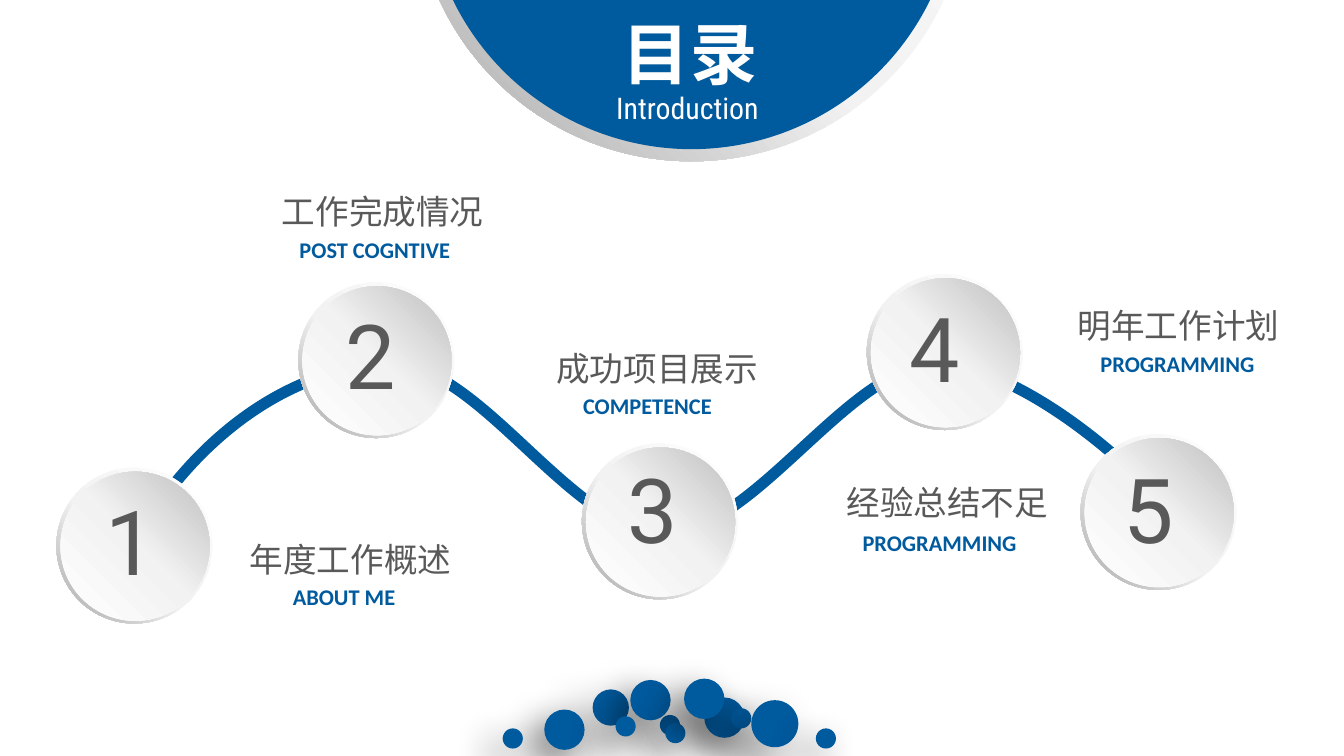
from copy import deepcopy

from lxml import etree
from pptx import Presentation
from pptx import util as u
from pptx.dml.color import RGBColor
from pptx.enum import shapes, text
from pptx.oxml import ns

PX = 9144  # 100 px to the inch
SLIDE_WIDTH = 1000

BLUE = RGBColor(0x00, 0x5A, 0x9E)
GRAY = RGBColor(0x59, 0x59, 0x59)
WHITE = RGBColor(0xFF, 0xFF, 0xFF)
PALE = RGBColor(0xF2, 0xF2, 0xF2)
SILVER = RGBColor(0xBF, 0xBF, 0xBF)
STEEL = RGBColor(0xA6, 0xA6, 0xA6)

RIM_STOPS = [(0, WHITE), (0.55, PALE), (1, STEEL)]
FACE_STOPS = [(0, WHITE), (0.51, PALE), (1, SILVER)]
CHINESE, LATIN = "Noto Sans CJK SC", "Calibri"

# Start of the wave, then two control points and an end for each bend
WAVE = [(100, 403),
        (151, 316), (225, 272), (291, 271),
        (357, 270), (426, 397), (494, 397),
        (561, 397), (632, 271), (697, 271),
        (762, 271), (863, 361), (882, 398)]

# number, badge left and top, digit left and top
BADGES = [("1", 42, 348, 69, 357),
          ("2", 222, 210, 247, 218),
          ("4", 645, 204, 667, 213),
          ("3", 433, 330, 457, 333),
          ("5", 804, 323, 826, 333)]

# Chinese title and its box, English subtitle and its box
TOPICS = [("年度工作概述", (176, 396, 177, 40), "ABOUT ME", (208, 429, 105, 30)),
          ("工作完成情况", (200, 137, 200, 40), "POST COGNTIVE", (213, 171, 148, 30)),
          ("成功项目展示", (404, 254, 202, 40), "COMPETENCE", (424, 287, 133, 30)),
          ("经验总结不足", (620, 354, 198, 40), "PROGRAMMING", (632, 389, 146, 30)),
          ("明年工作计划", (792, 222, 198, 40), "PROGRAMMING", (809, 256, 146, 30))]

# left, top, diameter
BUBBLES = [(524, 519, 30), (491, 532, 15), (544, 527, 15), (441, 513, 27),
           (469, 506, 30), (495, 538, 15), (559, 521, 35), (405, 528, 30),
           (374, 542, 15), (509, 505, 30), (458, 533, 15), (607, 542, 15)]
SOFT_SHADOW = (60, 20, 10)  # opacity %, blur pt, distance pt
WIDE_SHADOW = (50, 25, 15)
WIDE_SHADOW_DIAMETERS = (27, 35)


def emu(*lengths):
    return [u.Emu(length * PX) for length in lengths]


def add_text(parent, box, content, font, size, color, bold=False, wrap=True,
             align=None, spacing=None, insets=(10, 5)):
    frame = parent.shapes.add_textbox(*emu(*box)).text_frame
    frame.word_wrap = wrap
    frame.auto_size = text.MSO_AUTO_SIZE.SHAPE_TO_FIT_TEXT
    frame.margin_left = frame.margin_right = u.Emu(insets[0] * PX)
    frame.margin_top = frame.margin_bottom = u.Emu(insets[1] * PX)
    paragraph = frame.paragraphs[0]
    paragraph.alignment = align
    paragraph.line_spacing = spacing
    run = paragraph.add_run()
    run.text = content
    run.font.name = font
    run.font.size = u.Pt(size)
    run.font.bold = bold
    run.font.color.rgb = color
    east_asian = etree.SubElement(run.font._element, ns.qn("a:ea"))
    east_asian.set("typeface", font)


def add_round(parent, kind, left, top, diameter):
    """Add a circle or ring without line or shadow."""
    shape = parent.shapes.add_shape(kind, *emu(left, top, diameter, diameter))
    shape.line.fill.background()
    shape.shadow.inherit = False
    return shape


def add_disc(parent, left, top, diameter, color):
    disc = add_round(parent, shapes.MSO_SHAPE.OVAL, left, top, diameter)
    disc.fill.solid()
    disc.fill.fore_color.rgb = color
    return disc


def set_gradient(shape, stops, angle):
    """Fill with three stops, the angle counted counter-clockwise."""
    shape.fill.gradient()
    shape.fill.gradient_angle = angle
    stop_list = shape._element.spPr.find(".//" + ns.qn("a:gsLst"))
    stop_list.append(deepcopy(stop_list[-1]))
    for stop, (position, color) in zip(shape.fill.gradient_stops, stops):
        stop.position = position
        stop.color.rgb = color


def add_rim(parent, left, top, diameter):
    rim = add_round(parent, shapes.MSO_SHAPE.DONUT, left, top, diameter)
    rim.adjustments[0] = 0.05
    set_gradient(rim, RIM_STOPS, 225)


def add_badge(slide, number, left, top, digit_left, digit_top):
    group = slide.shapes.add_group_shape()
    add_rim(group, left, top, 116)
    face = add_round(group, shapes.MSO_SHAPE.OVAL, left + 3, top + 3, 111)
    set_gradient(face, FACE_STOPS, 45)
    add_text(group, (digit_left, digit_top, 72, 91), number, "Roboto", 48,
             GRAY, wrap=False)


def add_wave(slide):
    builder = slide.shapes.build_freeform(*WAVE[0], scale=PX)
    builder.add_line_segments(WAVE[1:], close=False)
    wave = builder.convert_to_shape()
    wave.fill.background()
    wave.line.color.rgb = BLUE
    wave.line.width = u.Pt(6)
    wave.shadow.inherit = False
    # Each three line segments become one cubic curve
    segments = wave._element.findall(".//" + ns.qn("a:lnTo"))
    outline = segments[0].getparent()
    for index, segment in enumerate(segments):
        if index % 3 == 0:
            curve = etree.SubElement(outline, ns.qn("a:cubicBezTo"))
        curve.append(segment[0])
        outline.remove(segment)


def add_shadow(shape, opacity, blur, distance):
    effects = shape._element.spPr.find(ns.qn("a:effectLst"))
    shadow = etree.SubElement(effects, ns.qn("a:outerShdw"), {
        "blurRad": str(u.Pt(blur)), "dist": str(u.Pt(distance)),
        "dir": str(135 * 60000), "algn": "tr", "rotWithShape": "0"})
    color = etree.SubElement(shadow, ns.qn("a:srgbClr"), val="000000")
    etree.SubElement(color, ns.qn("a:alpha"), val=str(opacity * 1000))


def add_header(slide):
    group = slide.shapes.add_group_shape()
    add_rim(group, 308, -293, 413)
    add_disc(group, 317, -284, 395, BLUE)
    center = text.PP_ALIGN.CENTER
    add_text(slide, (417, 17, 193, 56), "目录", CHINESE, 36, WHITE, bold=True,
             align=center, spacing=0.8, insets=(7, 4))
    add_text(slide, (421, 62, 181, 37), "Introduction", "Roboto Condensed",
             16, WHITE, align=center)


def main():
    presentation = Presentation()
    presentation.slide_width = u.Emu(SLIDE_WIDTH * PX)
    presentation.slide_height = u.Emu(SLIDE_WIDTH * PX * 9 // 16)
    slide = presentation.slides.add_slide(presentation.slide_layouts[6])

    add_wave(slide)
    for title, title_box, subtitle, subtitle_box in TOPICS:
        add_text(slide, title_box, title, CHINESE, 18, GRAY)
        add_text(slide, subtitle_box, subtitle, LATIN, 12, BLUE, bold=True,
                 wrap=False)
    for badge in BADGES:
        add_badge(slide, *badge)
    add_header(slide)
    for left, top, diameter in BUBBLES:
        bubble = add_disc(slide, left, top, diameter, BLUE)
        wide = diameter in WIDE_SHADOW_DIAMETERS
        add_shadow(bubble, *(WIDE_SHADOW if wide else SOFT_SHADOW))

    presentation.save("out.pptx")


if __name__ == "__main__":
    main()
